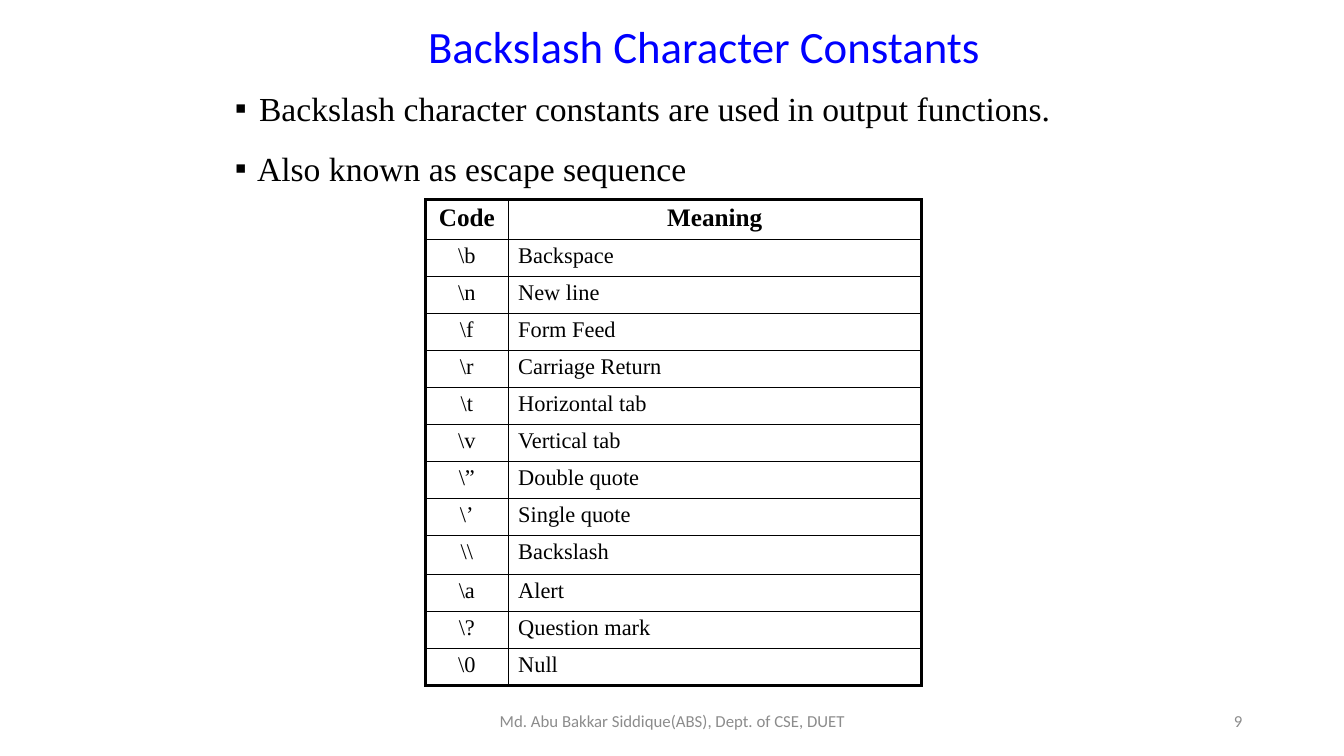
"""Build the slide about backslash character constants."""
from dataclasses import dataclass

from lxml import etree
from pptx import Presentation
from pptx.dml.color import RGBColor
from pptx.enum.text import MSO_ANCHOR, MSO_AUTO_SIZE, PP_ALIGN
from pptx.oxml.ns import qn
from pptx.util import Inches, Pt

LEFT, CENTER, RIGHT = PP_ALIGN.LEFT, PP_ALIGN.CENTER, PP_ALIGN.RIGHT
TOP, MIDDLE, BOTTOM = MSO_ANCHOR.TOP, MSO_ANCHOR.MIDDLE, MSO_ANCHOR.BOTTOM
NO_AUTOSIZE = MSO_AUTO_SIZE.NONE


@dataclass(frozen=True)
class Theme:
    heading_font: str = "Calibri"
    body_font: str = "Times New Roman"
    blue: str = "0000FF"
    black: str = "000000"
    gray: str = "8C8C8C"
    title_size: float = 32
    body_size: float = 24
    header_size: float = 18
    cell_size: float = 16
    footer_size: float = 12
    thin: float = 1
    thick: float = 2.25


theme = Theme()


def write_text(paragraph, text, *, size, font=theme.body_font, color=theme.black,
               bold=False, align=LEFT, before=0, margin=0, indent=0, bullet=None):
    """Write one formatted paragraph."""
    run = paragraph.add_run()
    run.text = text
    run.font.name = font
    run.font.size = Pt(size)
    run.font.bold = bold
    run.font.color.rgb = RGBColor.from_string(color)
    paragraph.alignment = align
    paragraph.space_before = Pt(before)
    properties = paragraph._p.get_or_add_pPr()
    properties.set("marL", str(Inches(margin)))
    properties.set("indent", str(Inches(indent)))
    if bullet:
        etree.SubElement(properties, qn("a:buFont"), typeface=font)
        etree.SubElement(properties, qn("a:buChar"), char=bullet)


def set_frame(frame, anchor, left=0.0, top=0.0, right=0.0, bottom=0.0):
    """Set wrapping, anchor and insets of a text frame."""
    frame.word_wrap = True
    frame.auto_size = NO_AUTOSIZE
    frame.vertical_anchor = anchor
    frame.margin_left, frame.margin_top = Inches(left), Inches(top)
    frame.margin_right, frame.margin_bottom = Inches(right), Inches(bottom)


presentation = Presentation()
presentation.slide_width = Inches(13.33)
presentation.slide_height = Inches(7.5)
slide = presentation.slides.add_slide(presentation.slide_layouts[5])

title = slide.shapes.title
title.left, title.top = Inches(3.98), Inches(0.16)
title.width, title.height = Inches(6), Inches(0.56)
set_frame(title.text_frame, BOTTOM, top=0.01)
write_text(title.text_frame.paragraphs[0], "Backslash Character Constants",
           size=theme.title_size, font=theme.heading_font, color=theme.blue,
           align=CENTER, before=1, margin=0.01)

bullets = [
    ("Backslash character constants are used in output functions.", 15.4, 0.25, -0.24),
    ("Also known as escape sequence", 14.4, 0.23, -0.22),
]
body = slide.shapes.add_textbox(Inches(2.32), Inches(0.66), Inches(8.1), Inches(1.23))
set_frame(body.text_frame, TOP, top=0.21)
for index, (text, before, margin, indent) in enumerate(bullets):
    paragraph = body.text_frame.add_paragraph() if index else body.text_frame.paragraphs[0]
    write_text(paragraph, text, size=theme.body_size, before=before,
               margin=margin, indent=indent, bullet="▪")

codes = [
    ("Code", "Meaning"),
    (r"\b", "Backspace"),
    (r"\n", "New line"),
    (r"\f", "Form Feed"),
    (r"\r", "Carriage Return"),
    (r"\t", "Horizontal tab"),
    (r"\v", "Vertical tab"),
    (r"\”", "Double quote"),
    (r"\’", "Single quote"),
    (r"\\", "Backslash"),
    (r"\a", "Alert"),
    (r"\?", "Question mark"),
    (r"\0", "Null"),
]
table_height = 4.82
special_heights = {0: 0.4, 9: 0.39}
row_height = (table_height - sum(special_heights.values())) / (len(codes) - len(special_heights))
table = slide.shapes.add_table(len(codes), 2, Inches(4.22), Inches(1.98),
                               Inches(4.92), Inches(table_height)).table
table.first_row = False
table.horz_banding = False
for column, width in zip(table.columns, (0.82, 4.1)):
    column.width = Inches(width)

last_row = len(codes) - 1
for row_index, row in enumerate(codes):
    table.rows[row_index].height = Inches(special_heights.get(row_index, row_height))
    is_header = row_index == 0
    for column_index, text in enumerate(row):
        cell = table.cell(row_index, column_index)
        cell.margin_left = cell.margin_right = cell.margin_bottom = Inches(0)
        cell.margin_top = Inches(0.04)
        is_centered = is_header or column_index == 0
        write_text(cell.text_frame.paragraphs[0], text,
                   size=theme.header_size if is_header else theme.cell_size,
                   bold=is_header, align=CENTER if is_centered else LEFT,
                   before=3 if is_header else 3.1, margin=0 if is_centered else 0.1)
        outer_edges = {
            "a:lnL": column_index == 0,
            "a:lnR": column_index == 1,
            "a:lnT": is_header,
            "a:lnB": row_index == last_row,
        }
        cell_properties = cell._tc.get_or_add_tcPr()
        for edge, is_outer in outer_edges.items():
            line_width = theme.thick if is_outer else theme.thin
            line = etree.SubElement(cell_properties, qn(edge), w=str(Pt(line_width)))
            line_fill = etree.SubElement(line, qn("a:solidFill"))
            etree.SubElement(line_fill, qn("a:srgbClr"), val=theme.black)
        cell.fill.background()

footers = [
    ("Md. Abu Bakkar Siddique(ABS), Dept. of CSE, DUET", 4.42, 4.5, CENTER),
    ("9", 9.42, 3, RIGHT),
]
for text, left, width, align in footers:
    footer = slide.shapes.add_textbox(Inches(left), Inches(6.95), Inches(width), Inches(0.4))
    set_frame(footer.text_frame, MIDDLE, left=0.1, top=0.05, right=0.1, bottom=0.05)
    write_text(footer.text_frame.paragraphs[0], text, size=theme.footer_size,
               font=theme.heading_font, color=theme.gray, align=align)

presentation.save("out.pptx")
